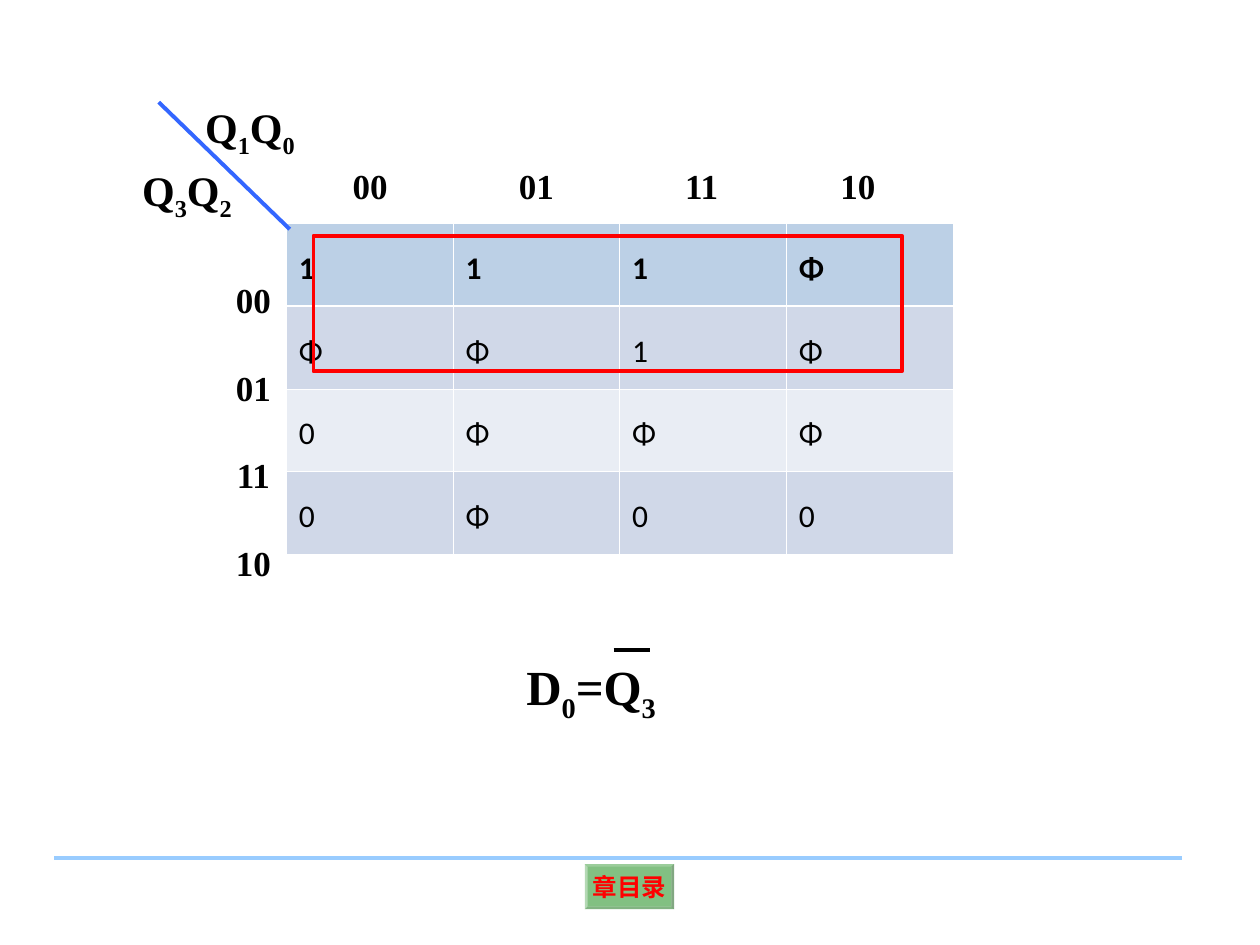
from lxml import etree
from pptx import Presentation
from pptx.dml.color import RGBColor
from pptx.enum.shapes import MSO_CONNECTOR, MSO_SHAPE
from pptx.enum.text import MSO_ANCHOR, PP_ALIGN
from pptx.oxml.ns import qn
from pptx.util import Cm, Pt

STRAIGHT = MSO_CONNECTOR.STRAIGHT
RECTANGLE, BEVEL = MSO_SHAPE.RECTANGLE, MSO_SHAPE.BEVEL
LEFT, CENTER = PP_ALIGN.LEFT, PP_ALIGN.CENTER
MIDDLE = MSO_ANCHOR.MIDDLE

BLACK = RGBColor(0x00, 0x00, 0x00)
RED = RGBColor(0xFF, 0x00, 0x00)
GREEN = RGBColor(0x00, 0x80, 0x00)
BLUE = RGBColor(0x33, 0x66, 0xFF)
PALE_BLUE = RGBColor(0x99, 0xCC, 0xFF)
WHITE = RGBColor(0xFF, 0xFF, 0xFF)
ROW_FILLS = (
    RGBColor(0xBC, 0xD0, 0xE6),
    RGBColor(0xD0, 0xD8, 0xE8),
    RGBColor(0xE9, 0xED, 0xF4),
    RGBColor(0xD0, 0xD8, 0xE8),
)

SERIF, SANS = "Times New Roman", "Calibri"
CODES = ("00", "01", "11", "10")
MAP_VALUES = ("111Φ", "ΦΦ1Φ", "0ΦΦΦ", "0Φ00")
MAP_LEFT, MAP_TOP, CELL_WIDTH, CELL_HEIGHT = 5.77, 4.5, 3.36, 1.67


def format_paragraph(paragraph, size, color=BLACK, name=SERIF, bold=True):
    """Set the font of a whole paragraph."""
    font = paragraph.font
    font.name, font.size, font.bold = name, Pt(size), bold
    font.color.rgb = color


def add_line(slide, start, end, color):
    """Draw a straight line without a shadow."""
    line = slide.shapes.add_connector(
        STRAIGHT, Cm(start[0]), Cm(start[1]), Cm(end[0]), Cm(end[1]))
    line.line.color.rgb = color
    line.line.width = Pt(2.25)
    etree.SubElement(line._element.spPr, qn("a:effectLst"))


def add_text_frame(slide, left, top, width, height):
    """Add a wrapping text box and return its text frame."""
    box = slide.shapes.add_textbox(Cm(left), Cm(top), Cm(width), Cm(height))
    box.text_frame.word_wrap = True
    return box.text_frame


def add_expression(slide, box, parts, size, alignment, line_spacing=1.0):
    """Write an expression whose every second part is a subscript."""
    paragraph = add_text_frame(slide, *box).paragraphs[0]
    paragraph.alignment = alignment
    paragraph.line_spacing = line_spacing
    format_paragraph(paragraph, size)
    for index, part in enumerate(parts):
        run = paragraph.add_run()
        run.text = part
        if index % 2:
            run._r.get_or_add_rPr().set("baseline", "-25000")


def add_column_codes(slide):
    """Write the column codes on tab stops above the map."""
    frame = add_text_frame(slide, 5.82, 3.2, 13.39, 1.12)
    frame.margin_left = Cm(1.29)
    paragraph = frame.paragraphs[0]
    paragraph.text = "\t".join(CODES)
    tabs = etree.SubElement(paragraph._p.get_or_add_pPr(), qn("a:tabLst"))
    for position in (3.35, 6.7, 9.83):
        etree.SubElement(tabs, qn("a:tab"), pos=str(Cm(position)), algn="l")
    format_paragraph(paragraph, 20)


def add_row_codes(slide):
    """Write the row codes evenly down the left side of the map."""
    frame = add_text_frame(slide, 4.45, MAP_TOP, 1.32, 7.21)
    frame.margin_top = Cm(1.12)
    for index, code in enumerate(CODES):
        paragraph = frame.add_paragraph() if index else frame.paragraphs[0]
        paragraph.text = code
        paragraph.alignment = CENTER
        if index:
            paragraph.space_before = Pt(26)
        format_paragraph(paragraph, 20)


def add_border(cell, side, width):
    """Give one side of a cell a white border."""
    border = etree.SubElement(
        cell._tc.get_or_add_tcPr(), qn(f"a:ln{side}"), w=str(Pt(width)))
    fill = etree.SubElement(border, qn("a:solidFill"))
    etree.SubElement(fill, qn("a:srgbClr"), val=str(WHITE))


def add_map(slide):
    """Build the Karnaugh map as a table."""
    count = len(CODES)
    table = slide.shapes.add_table(
        count, count, Cm(MAP_LEFT), Cm(MAP_TOP),
        Cm(count * CELL_WIDTH), Cm(count * CELL_HEIGHT)).table
    table.first_row = table.horz_banding = False
    for column in table.columns:
        column.width = Cm(CELL_WIDTH)
    for row_index, values in enumerate(MAP_VALUES):
        table.rows[row_index].height = Cm(CELL_HEIGHT)
        for column_index, value in enumerate(values):
            cell = table.cell(row_index, column_index)
            for side in "LRTB":
                thick = (row_index, side) in ((0, "B"), (1, "T"))
                add_border(cell, side, 1.47 if thick else 0.45)
            cell.fill.solid()
            cell.fill.fore_color.rgb = ROW_FILLS[row_index]
            cell.vertical_anchor = MIDDLE
            paragraph = cell.text_frame.paragraphs[0]
            paragraph.text = value
            paragraph.line_spacing = 1.2
            format_paragraph(paragraph, 18, name=SANS, bold=row_index == 0)


def add_loop(slide):
    """Outline the grouped cells of the map."""
    loop = slide.shapes.add_shape(
        RECTANGLE, Cm(6.32), Cm(4.75), Cm(11.86), Cm(2.74))
    loop.shadow.inherit = False
    loop.fill.background()
    loop.line.color.rgb = RED
    loop.line.width = Pt(2.25)


def add_contents_button(slide):
    """Add the translucent bevelled button at the foot."""
    button = slide.shapes.add_shape(
        BEVEL, Cm(11.79), Cm(17.42), Cm(1.8), Cm(0.91))
    button.adjustments[0] = 0.06
    button.shadow.inherit = False
    button.fill.solid()
    button.fill.fore_color.rgb = GREEN
    color = button._element.spPr.find(f"{qn('a:solidFill')}/{qn('a:srgbClr')}")
    etree.SubElement(color, qn("a:alpha"), val="49000")
    button.line.fill.background()
    frame = button.text_frame
    frame.word_wrap = False
    frame.vertical_anchor = MIDDLE
    frame.margin_left = frame.margin_right = Cm(0.1)
    frame.margin_top = frame.margin_bottom = Cm(0.1)
    paragraph = frame.paragraphs[0]
    paragraph.text = "章目录"
    paragraph.alignment = CENTER
    format_paragraph(paragraph, 14, RED)


def main():
    """Build and save the slide."""
    presentation = Presentation()
    presentation.slide_width, presentation.slide_height = Cm(25.4), Cm(19.05)
    slide = presentation.slides.add_slide(presentation.slide_layouts[6])
    add_contents_button(slide)
    add_line(slide, (1.09, 17.3), (23.83, 17.3), PALE_BLUE)
    add_line(slide, (12.37, 13.11), (13.11, 13.11), BLACK)
    add_expression(slide, (10.36, 12.85, 4.75, 1.88),
                   ("D", "0", "=Q", "3"), 28, LEFT, 1.2)
    add_map(slide)
    add_line(slide, (3.2, 2.06), (5.84, 4.62), BLUE)
    add_column_codes(slide)
    add_row_codes(slide)
    add_expression(slide, (2.46, 3.2, 2.62, 1.42),
                   ("Q", "3", "Q", "2"), 24, CENTER)
    add_expression(slide, (3.73, 1.93, 2.62, 1.42),
                   ("Q", "1", "Q", "0"), 24, CENTER)
    add_loop(slide)
    presentation.save("out.pptx")


if __name__ == "__main__":
    main()
